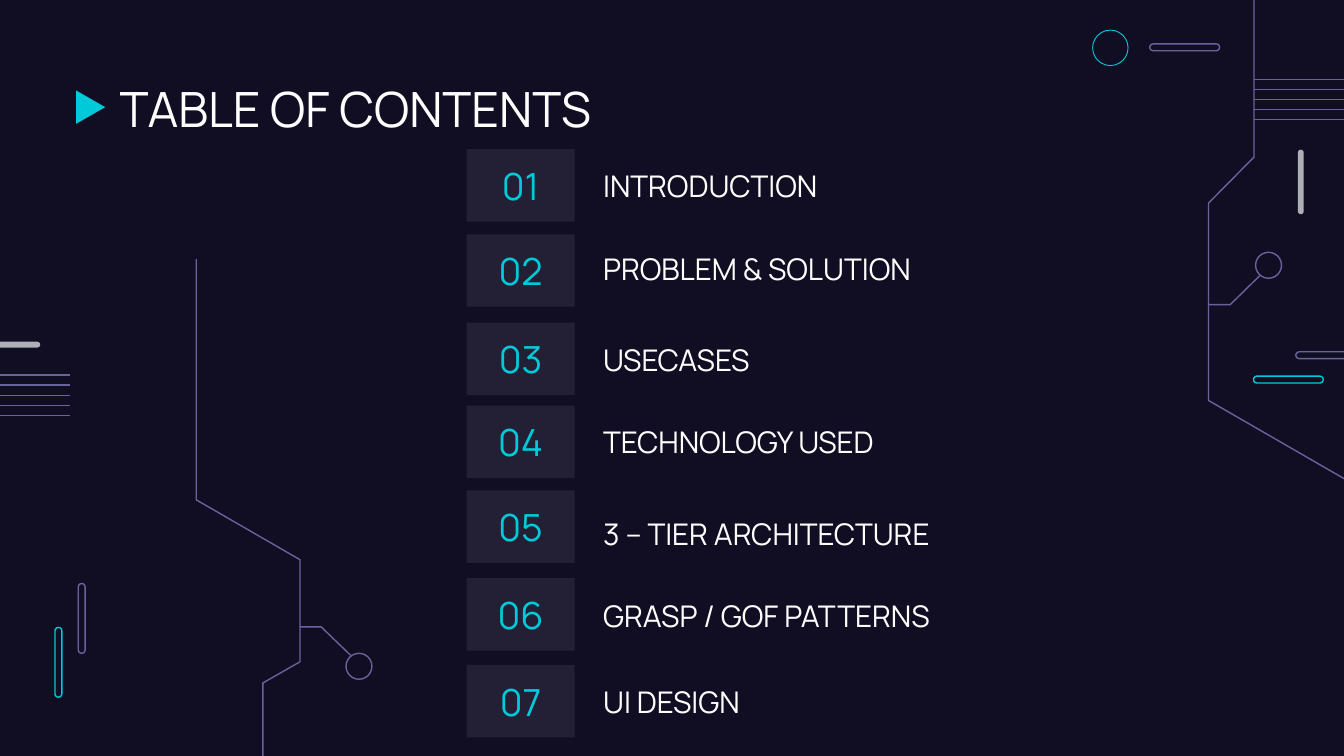
from dataclasses import dataclass

from lxml import etree
from pptx import Presentation
from pptx import util as u
from pptx.dml.color import RGBColor
from pptx.enum import shapes, text
from pptx.oxml.ns import qn


@dataclass(frozen=True)
class Theme:
    """Colours, font and sizes of the deck."""
    background: str = "110E24"
    cyan: str = "00CADA"
    purple: str = "69639C"
    grey: str = "AFAFB6"
    white: str = "FFFFFF"
    tile_alpha: int = 8
    font: str = "Manrope"
    title: int = 26
    number: int = 20
    label: int = 16
    line: float = 0.75
    thin: float = 0.47


THEME = Theme()
SHAPE = shapes.MSO_SHAPE
ALIGN = text.PP_ALIGN
AGENDA = [
    (2.82, 2.82, "INTRODUCTION"),
    (4.43, 4.39, "PROBLEM & SOLUTION"),
    (6.1, 6.12, "USECASES"),
    (7.67, 7.67, "TECHNOLOGY USED"),
    (9.27, 9.4, "3 – TIER ARCHITECTURE"),
    (10.93, 10.95, "GRASP / GOF PATTERNS"),
    (12.57, 12.57, "UI DESIGN"),
]


def style(sp, fill=None, line=None, width=THEME.line):
    """Give a shape its fill and outline, without a shadow."""
    sp.shadow.inherit = False
    if fill:
        sp.fill.solid()
        sp.fill.fore_color.rgb = RGBColor.from_string(fill)
    else:
        sp.fill.background()
    if line:
        sp.line.color.rgb = RGBColor.from_string(line)
        sp.line.width = u.Pt(width)
    else:
        sp.line.fill.background()


def add_shape(s, kind, box, **look):
    """Add a styled preset shape in a box given in centimetres."""
    sp = s.shapes.add_shape(kind, *map(u.Cm, box))
    style(sp, **look)
    return sp


def add_pill(s, box, **look):
    """Add a bar with fully rounded ends."""
    add_shape(s, SHAPE.ROUNDED_RECTANGLE, box, **look).adjustments[0] = 0.5


def add_path(s, left, top, points):
    """Draw an open purple path through points relative to a corner."""
    start, *rest = [(u.Cm(left + x), u.Cm(top + y)) for x, y in points]
    builder = s.shapes.build_freeform(*start, scale=1.0)
    builder.add_line_segments(rest, close=False)
    style(builder.convert_to_shape(), line=THEME.purple)


def set_text(sp, words, size, color, align=ALIGN.LEFT):
    """Write one vertically centred paragraph in a shape."""
    tf = sp.text_frame
    tf.word_wrap = True
    tf.vertical_anchor = text.MSO_ANCHOR.MIDDLE
    tf.margin_left = tf.margin_right = tf.margin_top = tf.margin_bottom = u.Cm(0.25)
    tf.text = words
    p = tf.paragraphs[0]
    p.alignment = align
    r = p.runs[0]
    r.font.name = THEME.font
    r.font.size = u.Pt(size)
    r.font.color.rgb = RGBColor.from_string(color)


def add_circuit(s, left, top, trace, branch, node):
    """Draw a circuit trace with a side branch ending in a round node."""
    add_path(s, left, top, trace)
    add_path(s, left, top, branch)
    x, y = node
    add_shape(s, SHAPE.OVAL, (left + x, top + y, 0.49, 0.49), line=THEME.purple)


def add_stripes(s, left, top, width, count=5, gap=0.19):
    """Draw evenly spaced horizontal lines."""
    for i in range(count):
        y = u.Cm(top + i * gap)
        line = s.shapes.add_connector(
            shapes.MSO_CONNECTOR.STRAIGHT, u.Cm(left), y, u.Cm(left + width), y)
        line.line.color.rgb = RGBColor.from_string(THEME.purple)
        line.line.width = u.Pt(THEME.line)
        etree.SubElement(line._element.spPr, qn("a:effectLst"))


def add_decor(s, width, height):
    """Place the bars, stripes and circuits along the slide edges."""
    long, slim = 1.32, 0.13
    for x, y, w, h, color in [
        (1.04, height - 2.43, slim, long, THEME.cyan),
        (1.48, height - 3.26, slim, long, THEME.purple),
        (width - 1.71, 7.11, long, slim, THEME.cyan),
        (width - 0.91, 6.65, long, slim, THEME.purple),
        (width - 3.67, 0.83, long, slim, THEME.purple),
    ]:
        add_pill(s, (x, y, w, h), line=color)
    add_pill(s, (width - 0.87, 2.83, 0.11, 1.22), fill=THEME.grey)
    add_pill(s, (-0.46, 6.46, 1.22, 0.11), fill=THEME.grey)
    add_shape(s, SHAPE.OVAL, (width - 4.75, 0.57, 0.67, 0.67),
              line=THEME.cyan, width=THEME.thin)
    add_stripes(s, width - 1.7, 1.5, 3.73)
    add_stripes(s, -1.55, 7.09, 2.87)
    add_circuit(s, width - 2.56, -0.15,
                [(2.86, 9.37), (0, 7.72), (0, 3.99), (0.86, 3.12), (0.86, 0)],
                [(0.97, 5.36), (0.41, 5.91), (0, 5.91)], (0.89, 4.92))
    add_circuit(s, 3.71, 4.9,
                [(0, 0), (0, 4.55), (1.96, 5.68), (1.96, 7.61), (1.26, 8.01), (1.26, 9.6)],
                [(2.92, 7.49), (2.36, 6.95), (1.96, 6.95)], (2.83, 7.45))


def add_title(s, left, top, width, height):
    """Place the slide title and its arrow marker."""
    marker = add_shape(s, SHAPE.FLOWCHART_MERGE,
                       (left - 0.61, top + 0.51, 0.63, 0.55), fill=THEME.cyan)
    marker.rotation = 270
    tb = s.shapes.add_textbox(*map(u.Cm, (left, top, width, height)))
    set_text(tb, "TABLE OF CONTENTS", THEME.title, THEME.white)


def add_agenda(s, left, tile_width, label_left, label_width, height):
    """Place the numbered tiles and their labels."""
    for i, (tile_top, label_top, words) in enumerate(AGENDA, 1):
        tile = add_shape(s, SHAPE.RECTANGLE, (left, tile_top, tile_width, height),
                         fill=THEME.white)
        color = tile._element.spPr.find(qn("a:solidFill"))[0]
        etree.SubElement(color, qn("a:alpha"), val=str(THEME.tile_alpha * 1000))
        set_text(tile, f"{i:02}", THEME.number, THEME.cyan, ALIGN.CENTER)
        tb = s.shapes.add_textbox(
            *map(u.Cm, (label_left, label_top, label_width, height)))
        set_text(tb, words, THEME.label, THEME.white)


def main():
    """Build and save the contents slide."""
    width, height = 25.4, 14.29
    prs = Presentation()
    prs.slide_width, prs.slide_height = u.Cm(width), u.Cm(height)
    s = prs.slides.add_slide(prs.slide_layouts[6])
    s.background.fill.solid()
    s.background.fill.fore_color.rgb = RGBColor.from_string(THEME.background)
    add_decor(s, width, height)
    add_title(s, 2.01, 1.24, 21.41, 1.6)
    add_agenda(s, 8.82, 2.04, 11.15, 7.54, 1.37)
    prs.save("out.pptx")


if __name__ == "__main__":
    main()
